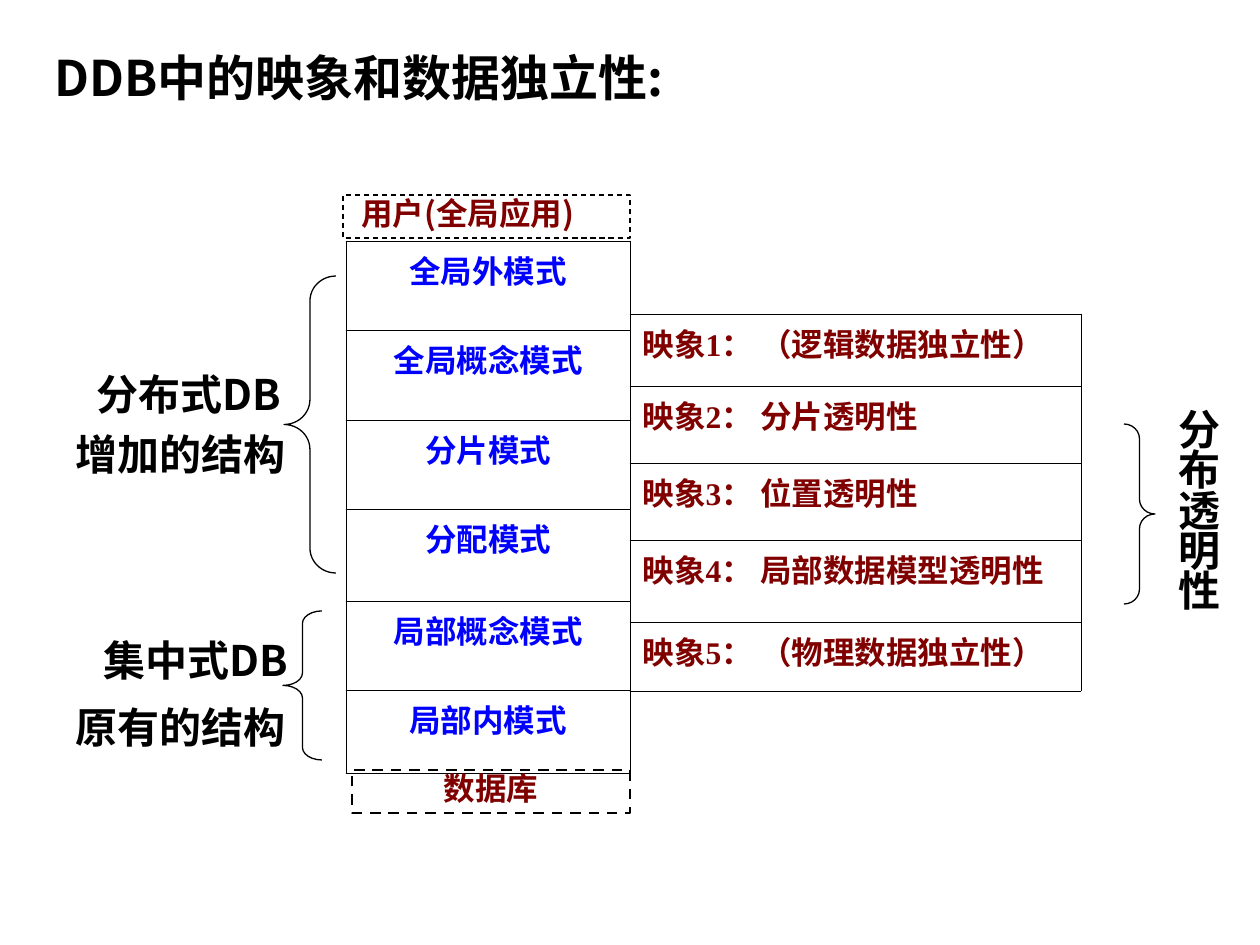
from lxml.etree import SubElement
from pptx import Presentation
from pptx.dml.color import RGBColor
from pptx.enum.dml import MSO_LINE
from pptx.enum.shapes import MSO_SHAPE as SHAPE
from pptx.enum.text import MSO_ANCHOR as ANCHOR, MSO_AUTO_SIZE as AUTO_SIZE, PP_ALIGN as ALIGN
from pptx.oxml.ns import qn
from pptx.util import Emu, Pt

SANS, SERIF = "Noto Sans CJK SC", "Times New Roman"
BLACK, BLUE, MAROON = "000000", "0000FF", "800000"


def px(length):
    return Emu(round(length * 914400 / 126))


def rgb(value):
    return RGBColor.from_string(value)


class SlideBuilder:
    """Holds the slide style and draws each kind of element."""

    def __init__(self, deck):
        self.slide = deck.slides.add_slide(deck.slide_layouts[5])

    def style_run(self, run, size, color, font):
        run.font.size, run.font.bold, run.font.name = Pt(size), True, font
        run.font.color.rgb = rgb(color)
        SubElement(run.font._element, qn("a:ea"), typeface=SANS)

    def fill_text(self, frame, lines, size, color, align, gap=0, indent=0, spacing=0.8):
        frame.word_wrap = True
        frame.auto_size = AUTO_SIZE.NONE
        frame.vertical_anchor = ANCHOR.TOP
        for number, line in enumerate(lines):
            paragraph = frame.add_paragraph() if number else frame.paragraphs[0]
            paragraph.alignment, paragraph.line_spacing = align, spacing
            paragraph.space_before = Pt(gap if number else 0)
            if indent and not number:
                paragraph._p.get_or_add_pPr().set("indent", str(px(indent)))
            for text, font in line:
                run = paragraph.add_run()
                run.text = text
                self.style_run(run, size, color, font)

    def title(self, box, text):
        heading = self.slide.shapes.title
        heading.left, heading.top, heading.width, heading.height = map(px, box)
        self.fill_text(heading.text_frame, [[(text, SANS)]], 28, BLACK, ALIGN.JUSTIFY)

    def label(self, box, lines, **style):
        frame = self.slide.shapes.add_textbox(*map(px, box)).text_frame
        self.fill_text(frame, lines, 24, BLACK, ALIGN.JUSTIFY, **style)

    def outline(self, kind, box, weight):
        shape = self.slide.shapes.add_shape(kind, *map(px, box))
        shape.shadow.inherit = False
        shape.fill.background()
        shape.line.color.rgb, shape.line.width = rgb(BLACK), Pt(weight)
        return shape

    def dashed_box(self, box, text, weight, align, indent=0):
        shape = self.outline(SHAPE.RECTANGLE, box, weight)
        shape.line.dash_style = MSO_LINE.DASH
        self.fill_text(shape.text_frame, [[(text, SANS)]], 18, MAROON, align, indent=indent)

    def brace(self, kind, box, curl):
        self.outline(kind, box, 0.75).adjustments[0] = curl

    def border(self, cell):
        properties = cell._tc.get_or_add_tcPr()
        for side in ("a:lnL", "a:lnR", "a:lnT", "a:lnB"):
            edge = SubElement(properties, qn(side), w=str(Pt(0.45)))
            SubElement(SubElement(edge, qn("a:solidFill")), qn("a:srgbClr"), val=BLACK)

    def table(self, left, top, width, rows, color, align):
        height = sum(row_height for _, row_height in rows)
        frame = self.slide.shapes.add_table(len(rows), 1, *map(px, (left, top, width, height)))
        grid = frame.table
        grid.first_row = grid.horz_banding = False
        for row, (text, row_height) in enumerate(rows):
            grid.rows[row].height = px(row_height)
            cell = grid.cell(row, 0)
            self.border(cell)
            cell.fill.background()
            cell.vertical_anchor = ANCHOR.TOP
            cell.text = text
            paragraph = cell.text_frame.paragraphs[0]
            paragraph.alignment = align
            self.style_run(paragraph.runs[0], 18, color, SERIF)


def main():
    deck = Presentation()
    deck.slide_width, deck.slide_height = px(1260), px(945)
    page = SlideBuilder(deck)
    page.title((42, 53, 840, 60), "DDB中的映象和数据独立性:")

    schemas = [("全局外模式", 89), ("全局概念模式", 90), ("分片模式", 89),
               ("分配模式", 92), ("局部概念模式", 89), ("局部内模式", 83)]
    mappings = [("映象1： （逻辑数据独立性）", 72), ("映象2： 分片透明性", 77),
                ("映象3： 位置透明性", 77), ("映象4： 局部数据模型透明性", 82),
                ("映象5： （物理数据独立性）", 69)]
    page.table(346, 241, 284, schemas, BLUE, ALIGN.CENTER)
    page.table(630, 314, 451, mappings, MAROON, ALIGN.JUSTIFY)

    page.dashed_box((343, 195, 287, 43), "用户(全局应用)", 0.75, ALIGN.LEFT, indent=6)
    page.dashed_box((352, 770, 278, 43), "数据库", 1.5, ALIGN.CENTER)

    page.label((63, 372, 242, 154), [[("分布式", SERIF), ("DB", SANS)], [("增加的结构", SANS)]],
               gap=11.2, indent=21)
    page.label((63, 638, 262, 120), [[("集中式", SERIF), ("DB", SANS)], [("原有的结构", SANS)]],
               gap=15, indent=28)
    page.label((1166, 407, 63, 281), [[("分布透明性", SERIF)]])

    page.brace(SHAPE.LEFT_BRACE, (284, 276, 52, 297), 0.48)
    page.brace(SHAPE.LEFT_BRACE, (283, 611, 39, 149), 0.32)
    page.brace(SHAPE.RIGHT_BRACE, (1124, 424, 31, 180), 0.48)
    deck.save("out.pptx")


if __name__ == "__main__":
    main()
